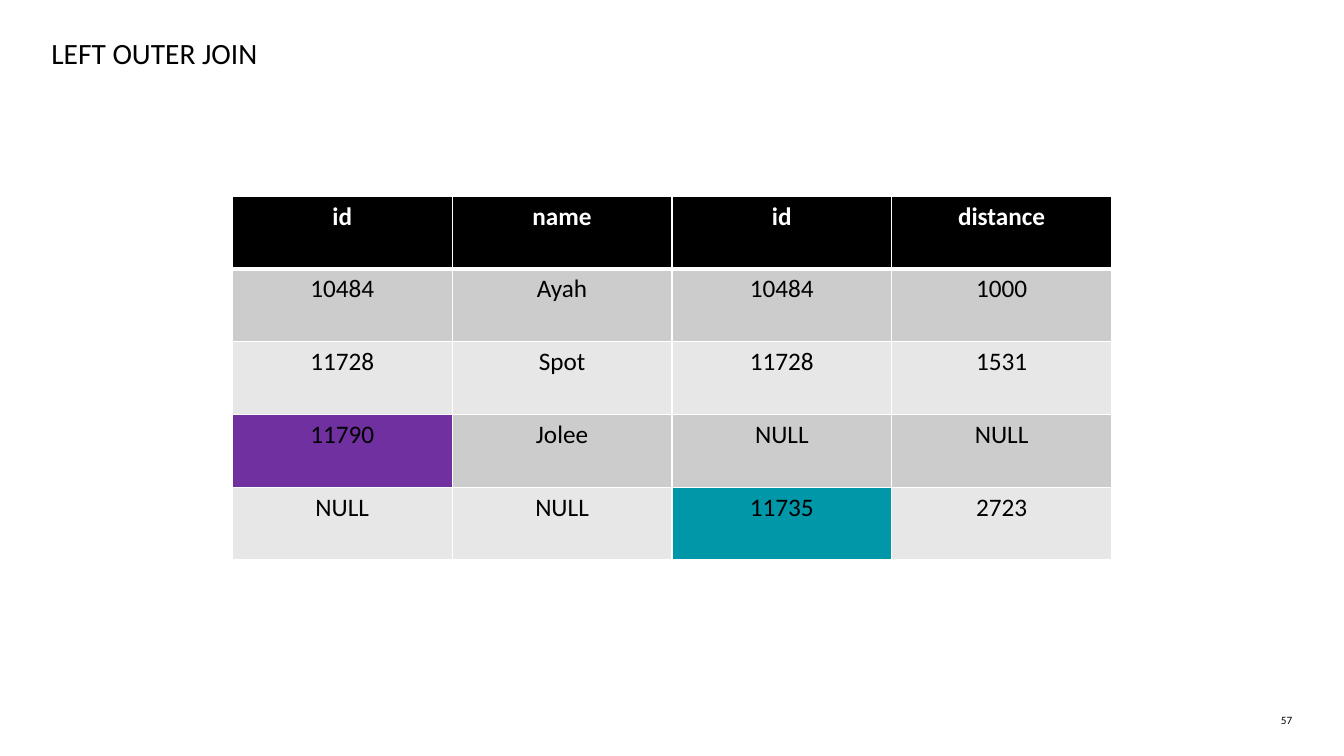
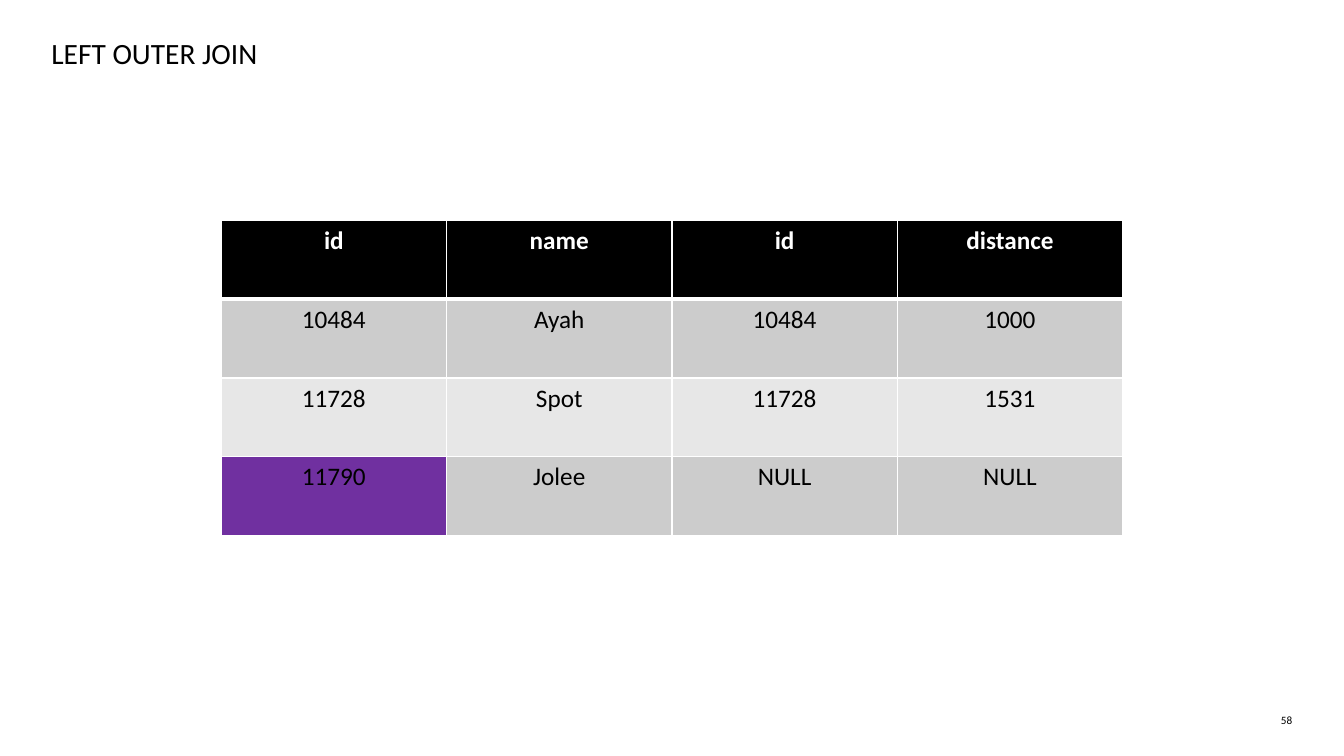
from dataclasses import dataclass, field

from lxml import etree
from pptx import Presentation
from pptx.dml.color import RGBColor
from pptx.enum.text import MSO_ANCHOR, MSO_AUTO_SIZE, PP_ALIGN
from pptx.oxml.ns import qn
from pptx.util import Pt

LEFT, CENTER, RIGHT = PP_ALIGN.LEFT, PP_ALIGN.CENTER, PP_ALIGN.RIGHT
MIDDLE, TOP = MSO_ANCHOR.MIDDLE, MSO_ANCHOR.TOP
NO_FIT = MSO_AUTO_SIZE.NONE

SLIDE_W, SLIDE_H = 960, 540
TITLE_ONLY = 5
FONT = "Calibri"
COLORS = {
    "black": "000000",
    "white": "FFFFFF",
    "dark_band": "CCCCCC",
    "light_band": "E7E7E7",
    "left_only": "7030A0",
    "right_only": "0097A9",
}
TITLE_BOX = (36.7, 23.8, 882, 27.4)
NUMBER_BOX = (898.6, 509.8, 24.5, 9.4)
FRAME_FORMAT = {
    "margin_left": 0, "margin_top": 0, "margin_right": 0, "margin_bottom": 0,
    "word_wrap": True, "auto_size": NO_FIT,
}
THIN, THICK = 1, 3

HEADER = ("id", "name", "id", "distance")
MATCHED = [("10484", "Ayah", "10484", "1000"), ("11728", "Spot", "11728", "1531")]
LEFT_ROW = ("11790", "Jolee", "NULL", "NULL")
RIGHT_ROW = ("NULL", "NULL", "11735", "2723")


@dataclass
class JoinSlide:
    number: int
    title: str
    rows: list[tuple[str, ...]]
    col_w: float
    row_h: float
    highlights: dict[str, str] = field(default_factory=dict)


SLIDES = [
    JoinSlide(57, "LEFT OUTER JOIN", [HEADER, *MATCHED, LEFT_ROW, RIGHT_ROW], 157, 52,
              {"11790": "left_only", "11735": "right_only"}),
    JoinSlide(58, "LEFT OUTER JOIN", [HEADER, *MATCHED, LEFT_ROW], 161, 56.2,
              {"11790": "left_only"}),
]


def rgb(color: str) -> RGBColor:
    return RGBColor.from_string(COLORS[color])


def write(tf, text: str, size: float, align, color: str = "black", bold: bool = False) -> None:
    p = tf.paragraphs[0]
    p.alignment = align
    r = p.add_run()
    r.text = text
    for name, value in {"name": FONT, "size": Pt(size), "bold": bold}.items():
        setattr(r.font, name, value)
    r.font.color.rgb = rgb(color)


def format_frame(tf, anchor) -> None:
    for name, value in {**FRAME_FORMAT, "vertical_anchor": anchor}.items():
        setattr(tf, name, value)


def add_title(s, text: str) -> None:
    sp = s.shapes.title
    sp.left, sp.top, sp.width, sp.height = map(Pt, TITLE_BOX)
    format_frame(sp.text_frame, MIDDLE)
    write(sp.text_frame, text, 21, LEFT)


def add_number(s, number: int) -> None:
    sp = s.shapes.add_textbox(*map(Pt, NUMBER_BOX))
    format_frame(sp.text_frame, TOP)
    write(sp.text_frame, str(number), 8, RIGHT)


def add_borders(cell, top: float, bottom: float) -> None:
    tc_pr = cell._tc.get_or_add_tcPr()
    for side, width in {"lnL": THIN, "lnR": THIN, "lnT": top, "lnB": bottom}.items():
        ln = etree.SubElement(tc_pr, qn(f"a:{side}"), w=str(Pt(width)))
        fill = etree.SubElement(ln, qn("a:solidFill"))
        etree.SubElement(fill, qn("a:srgbClr"), val=COLORS["white"])


def add_join_table(s, spec: JoinSlide) -> None:
    """Draw the joined rows as a table centred on the slide."""
    n_rows, n_cols = len(spec.rows), len(HEADER)
    w, h = n_cols * spec.col_w, n_rows * spec.row_h
    box = ((SLIDE_W - w) / 2, (SLIDE_H - h) / 2, w, h)
    table = s.shapes.add_table(n_rows, n_cols, *map(Pt, box)).table
    table.horz_banding = False
    for col in table.columns:
        col.width = Pt(spec.col_w)
    for i, values in enumerate(spec.rows):
        table.rows[i].height = Pt(spec.row_h)
        is_header = i == 0
        band = "black" if is_header else "dark_band" if i % 2 else "light_band"
        for j, value in enumerate(values):
            cell = table.cell(i, j)
            add_borders(cell, THICK if i == 1 else THIN, THICK if is_header else THIN)
            cell.fill.solid()
            cell.fill.fore_color.rgb = rgb(spec.highlights.get(value, band))
            write(cell.text_frame, value, 18, CENTER,
                  "white" if is_header else "black", is_header)


def main() -> None:
    prs = Presentation()
    prs.slide_width, prs.slide_height = Pt(SLIDE_W), Pt(SLIDE_H)
    for spec in SLIDES:
        s = prs.slides.add_slide(prs.slide_layouts[TITLE_ONLY])
        add_number(s, spec.number)
        add_title(s, spec.title)
        add_join_table(s, spec)
    prs.save("out.pptx")


if __name__ == "__main__":
    main()
